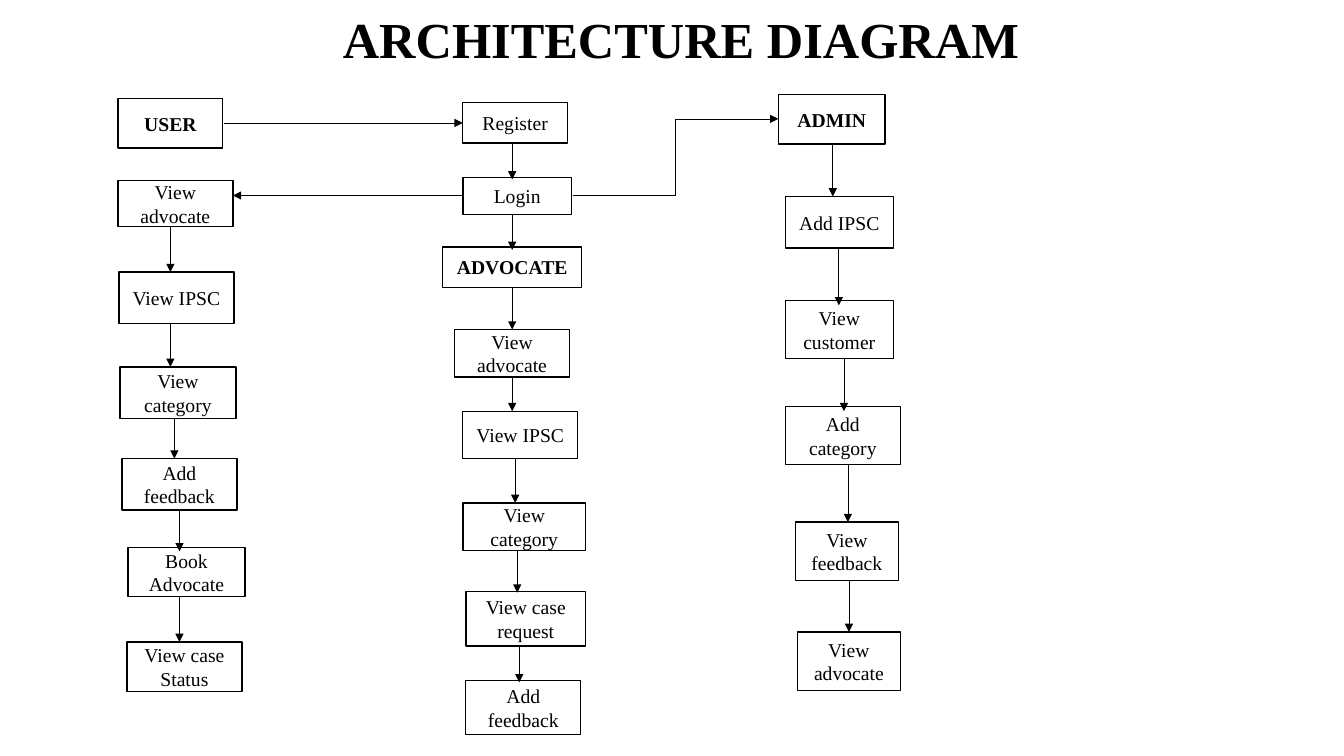
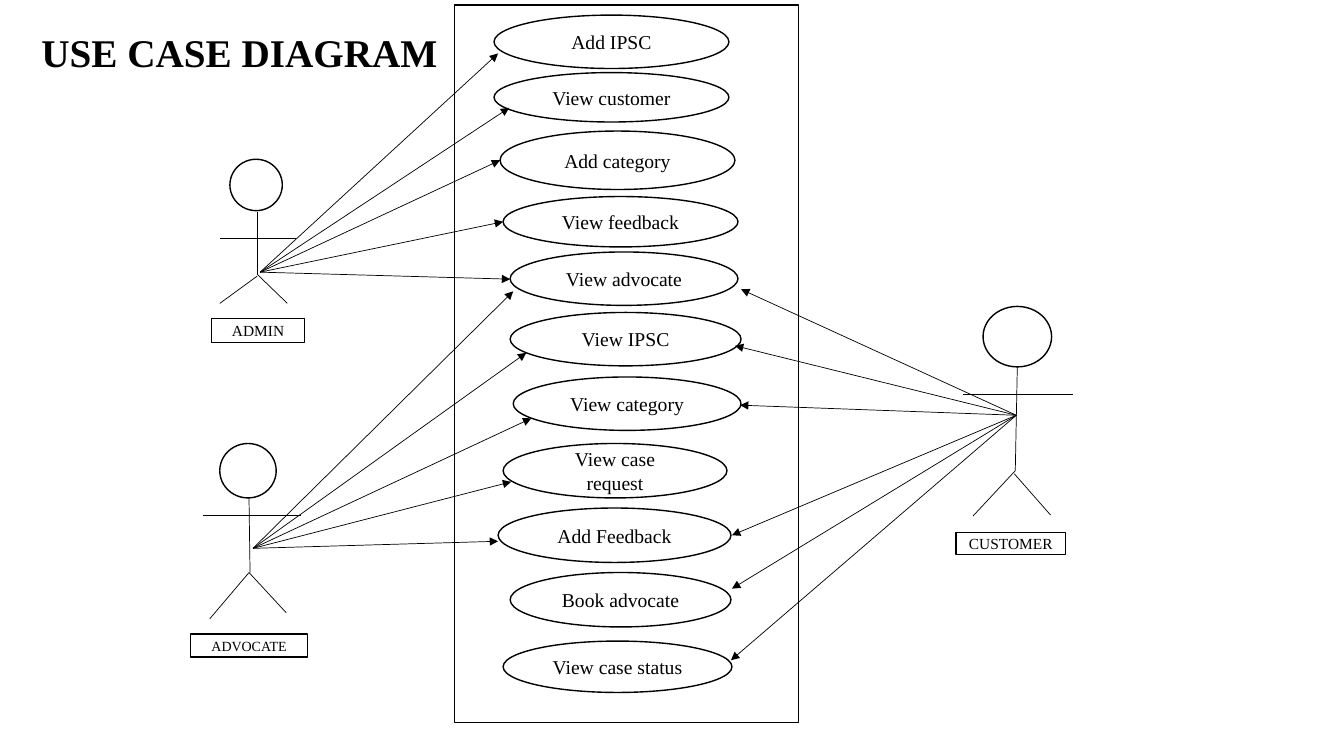
from lxml.etree import SubElement
from pptx import Presentation
from pptx.dml.color import RGBColor
from pptx.enum.shapes import MSO_CONNECTOR, MSO_SHAPE
from pptx.enum.text import MSO_ANCHOR, MSO_AUTO_SIZE, PP_ALIGN
from pptx.oxml.ns import qn
from pptx.util import Pt

PX = 9144  # 100 px to the inch
COLORS = {"ink": "000000", "paper": "FFFFFF"}
FONT = "Times New Roman"
TITLE_ONLY = 5

# Each step: label, left, top, width, height, arrow x, arrow reach into the next box
USER_STEPS = [
    ("USER", 0, 0, 104, 49, None, 0),
    ("View advocate", 0, 81, 114, 46, 52, 0),
    ("View IPSC", 1, 172, 114, 51, 52, 0),
    ("View category", 2, 266, 115, 51, 56, 0),
    ("Add feedback", 4, 357, 114, 51, 61, 4),
    ("Book Advocate", 10, 445, 116, 49, 61, 0),
    ("View case Status", 9, 539, 114, 49, None, 0),
]
ADVOCATE_STEPS = [
    ("Register", 20, 0, 104, 40, 69, 2),
    ("Login", 20, 74, 108, 37, 69, 3),
    ("ADVOCATE", 0, 143, 138, 40, 69, 0),
    ("View advocate", 12, 225, 114, 47, 69, 0),
    ("View IPSC", 20, 306, 114, 47, 72, 0),
    ("View category", 20, 397, 122, 47, 74, 1),
    ("View case request", 23, 485, 119, 54, 76, 2),
    ("Add feedback", 23, 573, 114, 54, None, 0),
]
ADMIN_STEPS = [
    ("ADMIN", 0, 0, 106, 49, 54, 0),
    ("Add IPSC", 7, 101, 107, 51, 60, 5),
    ("View customer", 7, 204, 107, 58, 65, 5),
    ("Add category", 7, 309, 114, 58, 69, 0),
    ("View feedback", 17, 424, 102, 58, 70, 0),
    ("View advocate", 19, 533, 102, 58, None, 0),
]

PANEL = (451, 5, 341, 712)
USE_CASES = [
    ("Add IPSC", 39, 10, 233, 53),
    ("View customer", 39, 67, 233, 49),
    ("Add category", 45, 125, 233, 58),
    ("View feedback", 48, 190, 233, 50),
    ("View advocate", 55, 245, 226, 53),
    ("View IPSC", 55, 305, 229, 53),
    ("View category", 58, 369, 226, 53),
    ("View case request", 48, 435, 222, 54),
    ("Add Feedback", 43, 499, 231, 54),
    ("Book advocate", 55, 563, 219, 54),
    ("View case status", 48, 631, 227, 51),
]
# Limbs and hub are relative to the actor, link tips to the panel
ACTORS = [
    dict(name="ADMIN", size=11, origin=(218, 158), head=(10, 0, 52, 51),
         limbs=[(0, 78, 76, 78), (37, 52, 37, 114), (37, 116, 0, 143), (37, 114, 67, 143)],
         label=(-8, 158, 92, 24), hub=(40, 112),
         tips=[(43, 48), (54, 102), (45, 154), (48, 215), (55, 272)]),
    dict(name="ADVOCATE", size=10, origin=(201, 440), head=(17, 0, 56, 54),
         limbs=[(0, 71, 98, 71), (46, 54, 47, 128), (46, 128, 7, 174), (46, 128, 83, 168)],
         label=(-12, 189, 116, 23), hub=(50, 104),
         tips=[(58, 284), (71, 345), (76, 410), (56, 473), (43, 532)]),
    dict(name="CUSTOMER", size=11, origin=(955, 304), head=(20, 0, 68, 60),
         limbs=[(0, 87, 109, 87), (54, 60, 52, 163), (52, 163, 10, 208), (51, 166, 87, 207)],
         label=(-7, 224, 109, 22), hub=(53, 108),
         tips=[(284, 282), (278, 338), (283, 397), (275, 526), (275, 579), (274, 650)]),
]


def emu(*lengths):
    return [length * PX for length in lengths]


def color(name):
    return RGBColor.from_string(COLORS[name])


def write(frame, text, size=14, bold=False, align=PP_ALIGN.CENTER, spacing=None):
    frame.word_wrap = True
    frame.auto_size = MSO_AUTO_SIZE.NONE
    frame.vertical_anchor = MSO_ANCHOR.MIDDLE
    para = frame.paragraphs[0]
    para.alignment = align
    para.line_spacing = spacing
    span = para.add_run()
    span.text = text
    span.font.name, span.font.size, span.font.bold = FONT, Pt(size), bold
    span.font.color.rgb = color("ink")


def add_page(deck, title, left, top, width, height, size):
    page = deck.slides.add_slide(deck.slide_layouts[TITLE_ONLY])
    box = page.shapes.title
    box.left, box.top, box.width, box.height = emu(left, top, width, height)
    write(box.text_frame, title, size=size, bold=True, align=PP_ALIGN.LEFT, spacing=0.9)
    return page


def add_box(page, origin, bounds, text="", kind=MSO_SHAPE.RECTANGLE, **style):
    left, top, width, height = bounds
    box = page.shapes.add_shape(
        kind, *emu(origin[0] + left, origin[1] + top, width, height))
    box.shadow.inherit = False
    box.fill.solid()
    box.fill.fore_color.rgb = color("paper")
    box.line.color.rgb = color("ink")
    box.line.width = Pt(1)
    if text:
        write(box.text_frame, text, **style)


def add_line(page, start, end, arrow=True, kind=MSO_CONNECTOR.STRAIGHT):
    line = page.shapes.add_connector(kind, *emu(*start, *end))
    line.line.color.rgb = color("ink")
    line.line.width = Pt(0.5)
    if arrow:
        SubElement(line.line._ln, qn("a:tailEnd"), type="triangle")
    SubElement(line._element.spPr, qn("a:effectLst"))


def add_flow(page, left, top, steps):
    """Stack the steps of one role and join them with downward arrows."""
    for label, *bounds, _, _ in steps:
        add_box(page, (left, top), bounds, label, bold=label.isupper())
    for step, following in zip(steps, steps[1:]):
        _, _, step_top, _, height, arrow_x, reach = step
        if arrow_x is not None:
            add_line(page, (left + arrow_x, top + step_top + height),
                     (left + arrow_x, top + following[2] + reach))


def add_use_cases(page, left, top, width, height):
    add_box(page, (left, top), (0, 0, width, height))
    for label, *bounds in USE_CASES:
        add_box(page, (left, top), bounds, label, kind=MSO_SHAPE.OVAL)


def add_actor(page, actor):
    """Draw a stick figure with its name and its links to the use cases."""
    left, top = actor["origin"]
    add_box(page, (left, top), actor["head"], kind=MSO_SHAPE.OVAL)
    for x1, y1, x2, y2 in actor["limbs"]:
        add_line(page, (left + x1, top + y1), (left + x2, top + y2), arrow=False)
    hub = (left + actor["hub"][0], top + actor["hub"][1])
    for x, y in actor["tips"]:
        add_line(page, hub, (PANEL[0] + x, PANEL[1] + y))
    add_box(page, (left, top), actor["label"], actor["name"], size=actor["size"])


def build_architecture(deck):
    page = add_page(deck, "ARCHITECTURE DIAGRAM", 330, 13, 879, 58, size=36)
    add_flow(page, 117, 98, USER_STEPS)
    add_flow(page, 439, 102, ADVOCATE_STEPS)
    add_flow(page, 772, 94, ADMIN_STEPS)
    add_line(page, (222, 122), (459, 122))
    add_line(page, (459, 194), (231, 194))
    add_line(page, (568, 194), (772, 118), kind=MSO_CONNECTOR.ELBOW)


def build_use_cases(deck):
    page = add_page(deck, "USE CASE DIAGRAM", 31, -18, 1150, 145, size=28)
    add_use_cases(page, *PANEL)
    for actor in ACTORS:
        add_actor(page, actor)


def main():
    deck = Presentation()
    deck.slide_width, deck.slide_height = emu(1333, 750)
    build_architecture(deck)
    build_use_cases(deck)
    deck.save("out.pptx")


if __name__ == "__main__":
    main()
